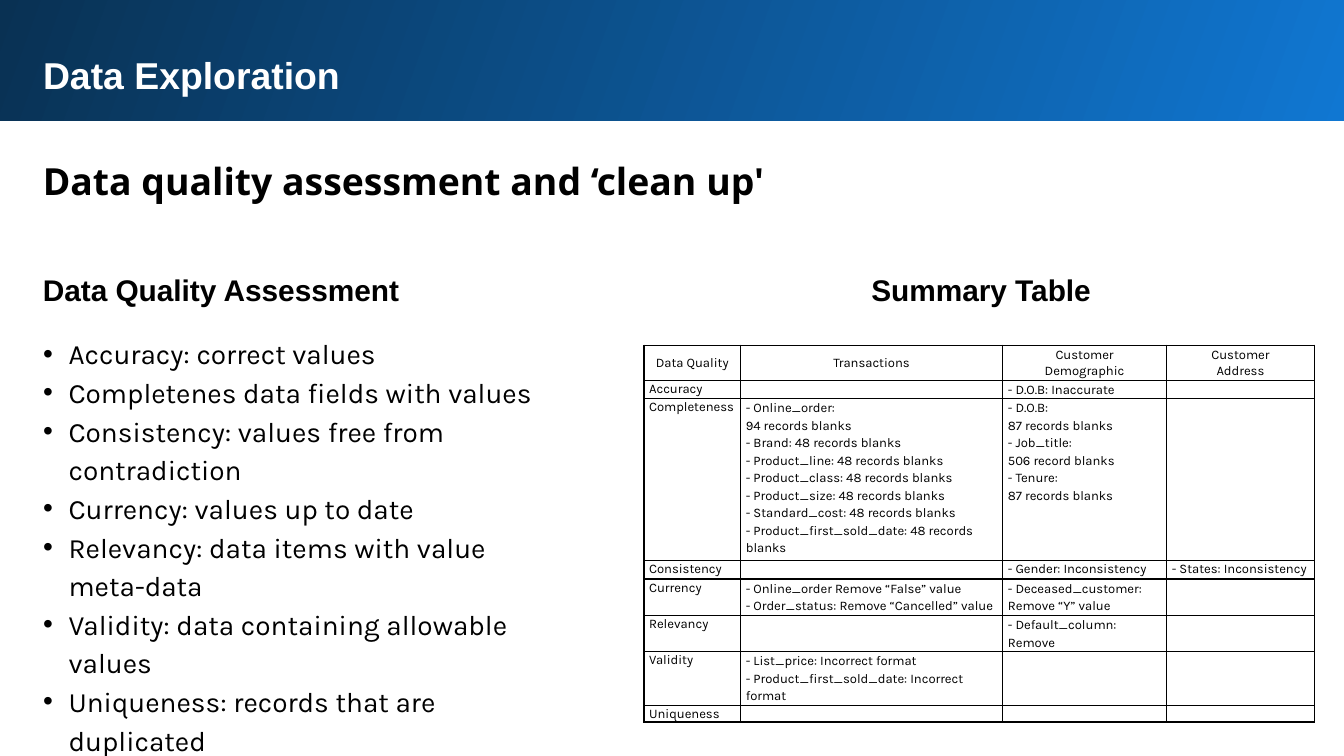
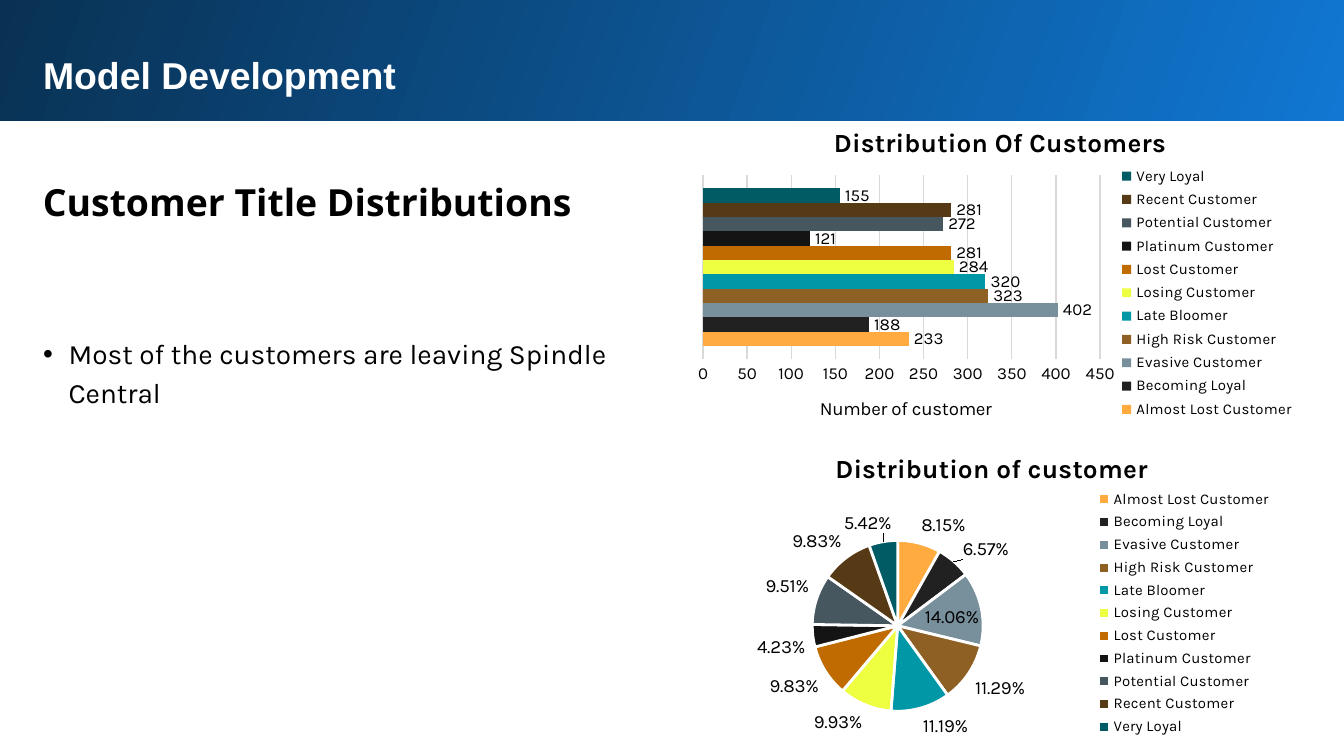
from lxml import etree
from pptx import Presentation
from pptx import util as u
from pptx.chart.data import CategoryChartData
from pptx.dml.color import RGBColor
from pptx.enum import chart as ch, shapes, text
from pptx.oxml.ns import qn

BLACK = RGBColor(0, 0, 0)
WHITE = RGBColor(255, 255, 255)
BRIGHT = RGBColor(0x10, 0x77, 0xD2)
NAVY = RGBColor(0x09, 0x31, 0x53)
GRID = RGBColor(0xD9, 0xD9, 0xD9)
LEFT, CENTER = text.PP_ALIGN.LEFT, text.PP_ALIGN.CENTER


def write(tf, lines, size, font, color=BLACK, bold=False, spacing=1.0, align=LEFT, inset=0.1):
    tf.word_wrap = True
    tf.margin_top = tf.margin_bottom = u.Inches(inset)
    for i, line in enumerate(lines):
        p = tf.paragraphs[0] if i == 0 else tf.add_paragraph()
        p.alignment, p.line_spacing, p.space_before = align, spacing, u.Pt(0)
        r = p.add_run()
        r.text = line
        r.font.size, r.font.name, r.font.bold = u.Pt(size), font, bold
        r.font.color.rgb = color


def place(el, index, **fractions):
    for old in el.findall(qn("c:layout")):
        el.remove(old)
    layout = etree.Element(qn("c:layout"))
    manual = etree.SubElement(layout, qn("c:manualLayout"))
    if index == 0:
        etree.SubElement(manual, qn("c:layoutTarget")).set("val", "inner")
    for side in "xy":
        etree.SubElement(manual, qn(f"c:{side}Mode")).set("val", "edge")
    for key, value in fractions.items():
        etree.SubElement(manual, qn(f"c:{key}")).set("val", str(value))
    el.insert(index, layout)


prs = Presentation()
prs.slide_width = u.Inches(10)
prs.slide_height = prs.slide_width * 9 // 16

pages = [
    ("Data Exploration", "Data quality assessment and ‘clean up'", (1.03, 9.37), (4.17, 2.79), [
        "Accuracy: correct values",
        "Completenes data fields with values",
        "Consistency: values free from contradiction",
        "Currency: values up to date",
        "Relevancy: data items with value",
        "meta-data",
        "Validity: data containing allowable values",
        "Uniqueness: records that are duplicated",
    ]),
    ("Model Development", "Customer Title Distributions", (1.18, 4.35), (4.52, 0.76), [
        "Most of the customers are leaving Spindle Central",
    ]),
]

for title, heading, (top, width), (body_w, body_h), bullets in pages:
    s = prs.slides.add_slide(prs.slide_layouts[1])
    band = s.shapes.add_shape(shapes.MSO_SHAPE.RECTANGLE, u.Inches(-0.02), u.Inches(-0.02),
                              u.Inches(10.05), u.Inches(0.92))
    band.shadow.inherit = False
    band.line.fill.background()
    band.fill.gradient()
    band.fill.gradient_angle = 160
    for stop, color in zip(band.fill.gradient_stops, (BRIGHT, NAVY)):
        stop.color.rgb = color
    s.shapes._spTree.insert(2, band._element)

    body = s.placeholders[1]
    for sp, y, w, h in ((s.shapes.title, 0.29, 9.37, 0.51), (body, 2.37, body_w, body_h)):
        sp.left, sp.top, sp.width, sp.height = (u.Inches(v) for v in (0.22, y, w, h))
        sp.text_frame.auto_size = text.MSO_AUTO_SIZE.NONE
        sp.text_frame.vertical_anchor = text.MSO_ANCHOR.TOP
    write(s.shapes.title.text_frame, [title], 20, "Arial", WHITE, True)
    write(body.text_frame, bullets, 15, "Karla", spacing=1.15)
    for p in body.text_frame.paragraphs:
        pPr = p._p.get_or_add_pPr()
        pPr.set("marL", str(u.Inches(0.19)))
        if p.text == "meta-data":
            pPr.set("indent", "0")
            etree.SubElement(pPr, qn("a:buNone"))
        else:
            pPr.set("indent", str(u.Inches(-0.19)))
            etree.SubElement(pPr, qn("a:buChar")).set("char", "•")

    sp = s.shapes.add_textbox(u.Inches(0.22), u.Inches(top), u.Inches(width), u.Inches(0.56))
    write(sp.text_frame, [heading], 20, "Open Sans", bold=True, spacing=1.15)

quality, model = prs.slides

for x, label, align in ((0.22, "Data Quality Assessment", LEFT), (4.79, "Summary Table", CENTER)):
    sp = quality.shapes.add_textbox(u.Inches(x), u.Inches(1.97), u.Inches(5.02), u.Inches(0.37))
    write(sp.text_frame, [label], 16, "Arial", bold=True, align=align, inset=0.05)

rows = [
    ["Data Quality", "Transactions", "Customer\nDemographic", "Customer\nAddress"],
    ["Accuracy", "", "- D.O.B: Inaccurate", ""],
    ["Completeness",
     "- Online_order:\n94 records blanks\n- Brand: 48 records blanks\n"
     "- Product_line: 48 records blanks\n- Product_class: 48 records blanks\n"
     "- Product_size: 48 records blanks\n- Standard_cost: 48 records blanks\n"
     "- Product_first_sold_date: 48 records blanks",
     "- D.O.B:\n87 records blanks\n- Job_title:\n506 record blanks\n- Tenure:\n87 records blanks", ""],
    ["Consistency", "", "- Gender: Inconsistency", "- States: Inconsistency"],
    ["Currency", "- Online_order Remove “False” value\n- Order_status: Remove “Cancelled” value",
     "- Deceased_customer:\nRemove “Y” value", ""],
    ["Relevancy", "", "- Default_column: Remove", ""],
    ["Validity", "- List_price: Incorrect format\n- Product_first_sold_date: Incorrect format", "", ""],
    ["Uniqueness", "", "", ""],
]
table = quality.shapes.add_table(len(rows), 4, u.Inches(4.79), u.Inches(2.57),
                                 u.Inches(4.99), u.Inches(2.45)).table
table.first_row = table.horz_banding = False
for col, w in zip(table.columns, (0.72, 1.95, 1.22, 1.1)):
    col.width = u.Inches(w)
for row, h in zip(table.rows, (0.26, 0.11, 1.11, 0.14, 0.27, 0.15, 0.29, 0.11)):
    row.height = u.Inches(h)
for i, row in enumerate(rows):
    for j, value in enumerate(row):
        cell = table.cell(i, j)
        cell.margin_left = cell.margin_right = u.Inches(0.04)
        cell.vertical_anchor = text.MSO_ANCHOR.TOP if i else text.MSO_ANCHOR.MIDDLE
        tcPr = cell._tc.get_or_add_tcPr()
        for side in "LRTB":
            ln = etree.SubElement(tcPr, qn(f"a:ln{side}"), w=str(u.Pt(1)))
            fill = etree.SubElement(ln, qn("a:solidFill"))
            etree.SubElement(fill, qn("a:srgbClr")).set("val", str(BLACK))
        cell.fill.background()
        if value:
            write(cell.text_frame, value.split("\n"), 7, "Karla",
                  spacing=1.07 if j == 0 or i in (0, 3) else 1.15, align=LEFT if i else CENTER)
        else:
            etree.SubElement(cell.text_frame.paragraphs[0]._p, qn("a:endParaRPr")).set("sz", "700")
        cell.margin_top = cell.margin_bottom = 0

customers = [
    ("Almost Lost Customer", 233, 0.0815, "FFAB40"),
    ("Becoming Loyal", 188, 0.0657, "212121"),
    ("Evasive Customer", 402, 0.1406, "78909C"),
    ("High Risk Customer", 323, 0.1129, "8F6024"),
    ("Late Bloomer", 320, 0.1119, "0097A7"),
    ("Losing Customer", 284, 0.0993, "EEFF41"),
    ("Lost Customer", 281, 0.0983, "BF6B00"),
    ("Platinum Customer", 121, 0.0423, "141414"),
    ("Potential Customer", 272, 0.0951, "465760"),
    ("Recent Customer", 281, 0.0983, "563A16"),
    ("Very Loyal", 155, 0.0542, "005B64"),
]
pie_data = CategoryChartData(number_format="0.00%")
pie_data.categories = [c[0] for c in customers]
pie_data.add_series("Series 1", [c[2] for c in customers])
bar_data = CategoryChartData()
bar_data.categories = ["1"]
for name, count, share, color in customers:
    bar_data.add_series(name, [count])

pie = model.shapes.add_chart(ch.XL_CHART_TYPE.PIE, u.Inches(5.09), u.Inches(3.23),
                             u.Inches(4.54), u.Inches(2.4), pie_data).chart
bar = model.shapes.add_chart(ch.XL_CHART_TYPE.BAR_CLUSTERED, u.Inches(5.09), u.Inches(0.8),
                             u.Inches(4.69), u.Inches(2.53), bar_data).chart

for chart, title, title_x, size, position, legend_x, legend_h in (
        (pie, "Distribution of customer", 0.24, 10, ch.XL_LABEL_POSITION.BEST_FIT, 0.67, 0.79),
        (bar, "Distribution Of Customers", 0.23, 9, ch.XL_LABEL_POSITION.OUTSIDE_END, 0.68, 0.77)):
    chart.font.size, chart.font.name, chart.font.color.rgb = u.Pt(10), "Karla", BLACK
    chart.has_title = True
    write(chart.chart_title.text_frame, [title], 14, "Karla", bold=True, align=CENTER)
    place(chart.chart_title._element, 1, x=title_x, y=0.04)
    chart.has_legend = True
    legend = chart.legend
    legend.position = ch.XL_LEGEND_POSITION.RIGHT
    legend.include_in_layout = False
    legend.font.size, legend.font.name, legend.font.color.rgb = u.Pt(8), "Karla", BLACK
    place(legend._element, 1, x=legend_x, y=0.16, w=0.3, h=legend_h)
    for series in chart.plots[0].series:
        labels = series.data_labels
        labels.show_value, labels.position = True, position
        labels.font.size, labels.font.name, labels.font.color.rgb = u.Pt(size), "Karla", BLACK

plot = pie.plots[0]
plot.vary_by_categories = True
slices = plot.series[0]
slices.data_labels.number_format = "0.00%"
slices.data_labels.number_format_is_linked = False
for i, customer in enumerate(customers):
    for fmt in (slices.points[i].format, bar.plots[0].series[i].format):
        fmt.fill.solid()
        fmt.fill.fore_color.rgb = RGBColor.from_string(customer[3])
    slices.points[i].format.line.color.rgb = WHITE
    slices.points[i].format.line.width = u.Pt(1.5)
place(pie._chartSpace.chart.plotArea, 0, x=0.21, y=0.33, w=0.28, h=0.53)

plot = bar.plots[0]
plot.vary_by_categories = False
plot.gap_width, plot.overlap = 182, 0
bar.category_axis.visible = False
axis = bar.value_axis
axis.minimum_scale, axis.maximum_scale, axis.major_unit = 0, 450, 50
axis.major_tick_mark = axis.minor_tick_mark = ch.XL_TICK_MARK.NONE
axis.format.line.fill.background()
axis.major_gridlines.format.line.color.rgb = GRID
axis.major_gridlines.format.line.width = u.Pt(0.75)
axis.tick_labels.font.size, axis.tick_labels.font.name = u.Pt(9), "Karla"
axis.tick_labels.font.color.rgb = BLACK
axis.has_title = True
write(axis.axis_title.text_frame, ["Number of customer"], 10, "Karla", align=CENTER)
place(axis.axis_title._element, 1, x=0.21, y=0.84)
place(bar._chartSpace.chart.plotArea, 0, x=0.03, y=0.2, w=0.63, h=0.54)

prs.save("out.pptx")
